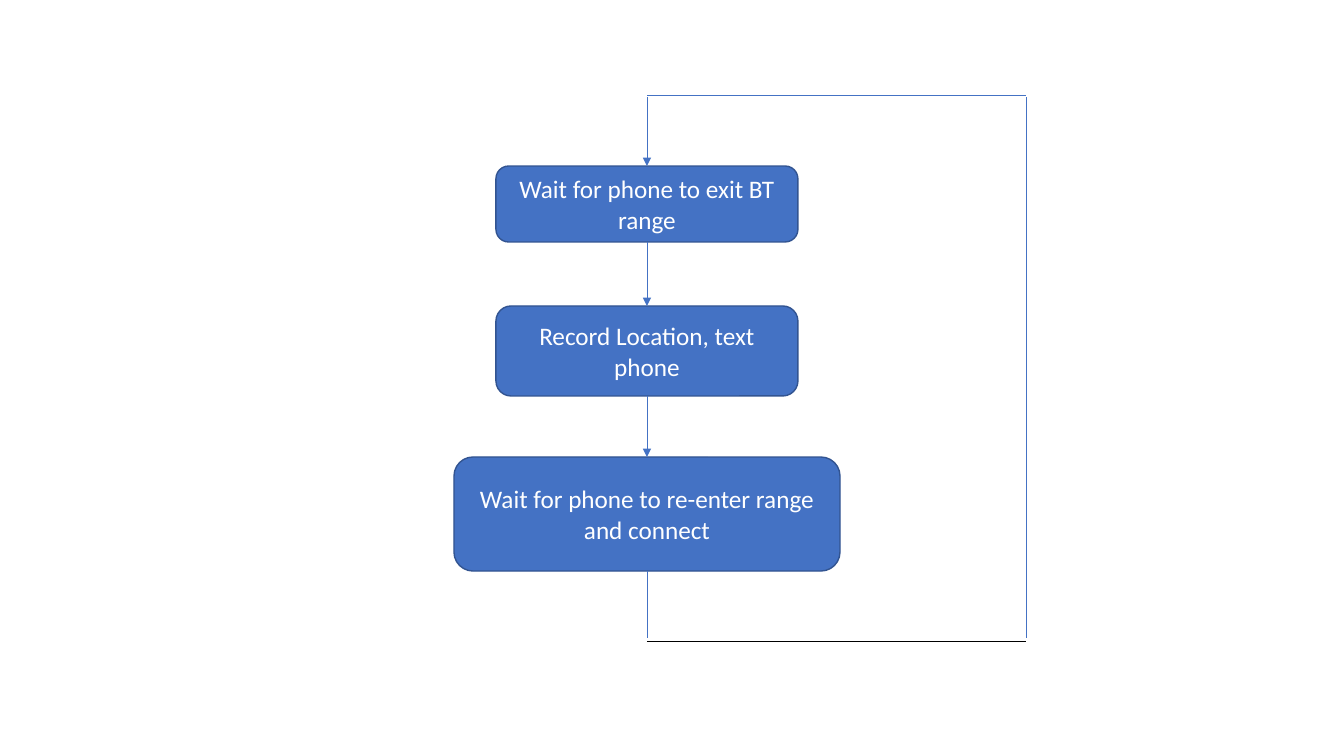
from pptx import Presentation
from pptx.dml.color import RGBColor
from pptx.enum.shapes import MSO_CONNECTOR, MSO_SHAPE
from pptx.enum.text import MSO_ANCHOR, PP_ALIGN
from pptx.oxml.ns import qn
from pptx.util import Pt
from lxml import etree

ROUND = MSO_SHAPE.ROUNDED_RECTANGLE
LINE = MSO_CONNECTOR.STRAIGHT
MIDDLE = MSO_ANCHOR.MIDDLE
CENTER = PP_ALIGN.CENTER

SCALE = 914400 / 100.8
COLORS = {"blue": "4472C4", "edge": "325491", "white": "FFFFFF", "black": "000000"}

# Flow axis and the corners of the return loop
AXIS = 647
RIGHT = 1026
LOOP_TOP = 95
LOOP_END = 641

# Text, top, width, height
STEPS = [
    ("Wait for phone to exit BT range", 166, 302, 76),
    ("Record Location, text phone", 306, 302, 90),
    ("Wait for phone to re-enter range and connect", 457, 386, 114),
]


def px(n):
    return round(n * SCALE)


def color(name):
    return RGBColor.from_string(COLORS[name])


def put_text(frame, text, size=18, font="Calibri", ink="white", align=CENTER):
    frame.word_wrap = True
    frame.vertical_anchor = MIDDLE
    para = frame.paragraphs[0]
    para.alignment = align
    run = para.add_run()
    run.text = text
    run.font.size = Pt(size)
    run.font.name = font
    run.font.color.rgb = color(ink)


def add_step(slide, text, top, width, height):
    left = AXIS - width / 2
    box = slide.shapes.add_shape(ROUND, px(left), px(top), px(width), px(height))
    box.shadow.inherit = False
    box.fill.solid()
    box.fill.fore_color.rgb = color("blue")
    box.line.color.rgb = color("edge")
    box.line.width = Pt(1)
    put_text(box.text_frame, text)
    return box


def add_line(slide, start, end, ink="blue", arrow=False):
    line = slide.shapes.add_connector(LINE, *map(px, start + end))
    line.line.color.rgb = color(ink)
    line.line.width = Pt(0.5)
    if arrow:
        etree.SubElement(line.line._get_or_add_ln(), qn("a:tailEnd"), type="triangle")
    etree.SubElement(line._element.spPr, qn("a:effectLst"))
    return line


def main():
    deck = Presentation()
    deck.slide_width, deck.slide_height = px(1344), px(756)
    slide = deck.slides.add_slide(deck.slide_layouts[6])

    # Steps
    boxes = [add_step(slide, *step) for step in STEPS]

    # Arrows from step to step, glued to the boxes
    for i in range(len(STEPS) - 1):
        _, top, _, height = STEPS[i]
        link = add_line(slide, (AXIS, top + height), (AXIS, STEPS[i + 1][1]), arrow=True)
        link.begin_connect(boxes[i], 2)
        link.end_connect(boxes[i + 1], 0)

    # Return loop from the last step to the first
    _, top, _, height = STEPS[-1]
    add_line(slide, (AXIS, top + height), (AXIS, LOOP_END - 3))
    add_line(slide, (AXIS, LOOP_END), (RIGHT, LOOP_END), ink="black")
    add_line(slide, (RIGHT, LOOP_END - 3), (RIGHT, LOOP_TOP + 2))
    add_line(slide, (RIGHT, LOOP_TOP), (AXIS, LOOP_TOP))
    add_line(slide, (AXIS, LOOP_TOP + 2), (AXIS, STEPS[0][1]), arrow=True)

    deck.save("out.pptx")


main()
